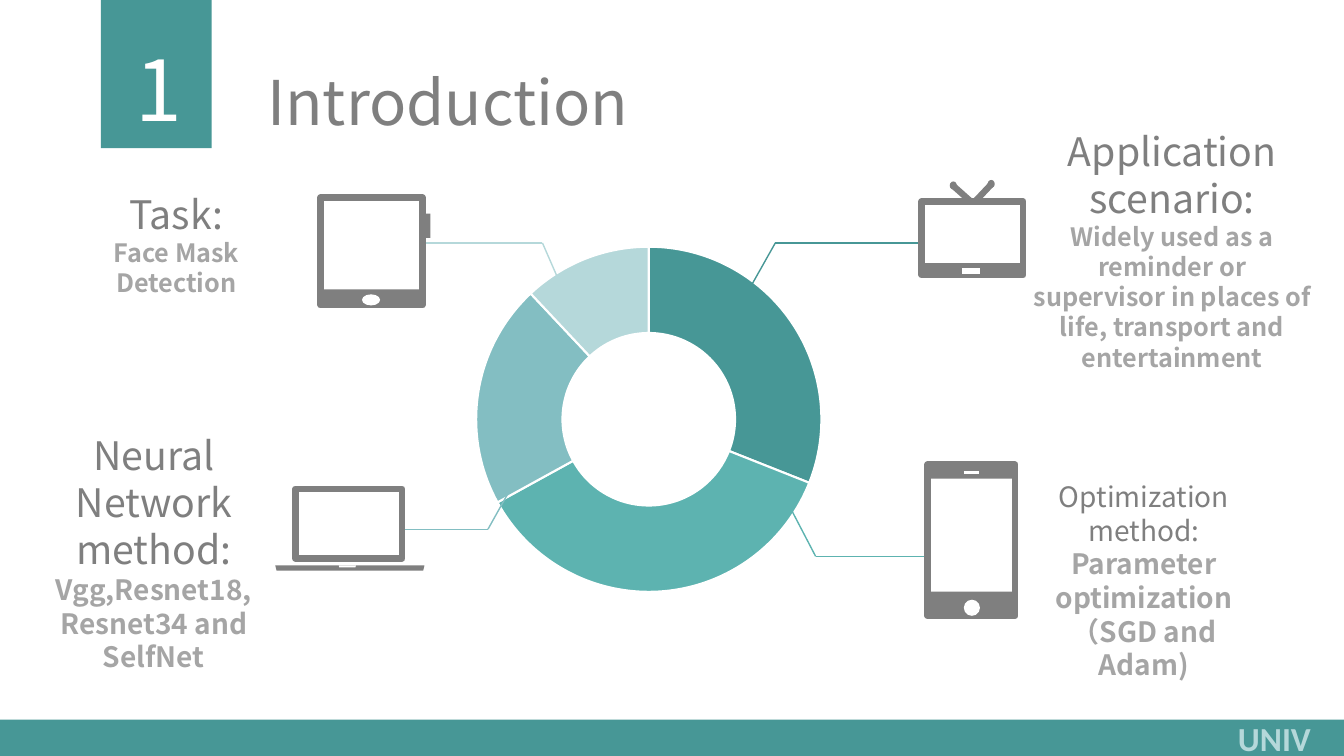
import pptx
import pptx.chart.data
import pptx.dml.color
import pptx.enum.chart
import pptx.enum.shapes
import pptx.enum.text
import pptx.util
from lxml import etree
from pptx.oxml.ns import qn

RGBColor = pptx.dml.color.RGBColor
Pt = pptx.util.Pt
MSO_SHAPE = pptx.enum.shapes.MSO_SHAPE
PP_ALIGN = pptx.enum.text.PP_ALIGN

TEAL = RGBColor(0x47, 0x97, 0x96)
AQUA = RGBColor(0x5D, 0xB3, 0xB0)
SKY = RGBColor(0x83, 0xBE, 0xC2)
PALE = RGBColor(0xB5, 0xD8, 0xDA)
GRAY = RGBColor(0x7F, 0x7F, 0x7F)
LIGHT_GRAY = RGBColor(0xA5, 0xA5, 0xA5)
WHITE = RGBColor(0xFF, 0xFF, 0xFF)
BLACK = RGBColor(0, 0, 0)

EMU_PER_PX = 9144  # 100 px to the inch
FONT = "Noto Sans CJK SC"
FRAME = 4.5


def px(*lengths):
    return [length * EMU_PER_PX for length in lengths]


def add_block(slide, box, fill=GRAY, outline=None, kind=MSO_SHAPE.RECTANGLE, rotation=0):
    block = slide.shapes.add_shape(kind, *px(*box))
    block.shadow.inherit = False
    block.rotation = rotation
    block.fill.solid()
    block.fill.fore_color.rgb = fill
    if outline:
        block.line.color.rgb = outline
        block.line.width = Pt(FRAME)
    else:
        block.line.fill.background()


def add_path(slide, points, color, width):
    """Join each point to the next with a straight line."""
    for start, end in zip(points, points[1:]):
        segment = slide.shapes.add_connector(
            pptx.enum.shapes.MSO_CONNECTOR.STRAIGHT, *px(*start, *end))
        segment.line.color.rgb = color
        segment.line.width = Pt(width)
        etree.SubElement(segment._element.spPr, qn("a:effectLst"))


def style(paragraph, size, color, bold=False, font=FONT, align=PP_ALIGN.CENTER):
    paragraph.alignment = align
    paragraph.font.name = font
    paragraph.font.size = Pt(size)
    paragraph.font.bold = bold
    paragraph.font.color.rgb = color


def add_text(slide, box, *lines, **options):
    """Write one paragraph for each (text, size, color, bold) line."""
    frame = slide.shapes.add_textbox(*px(*box)).text_frame
    frame.word_wrap = True
    for index, (text, *look) in enumerate(lines):
        paragraph = frame.add_paragraph() if index else frame.paragraphs[0]
        paragraph.text = text
        style(paragraph, *look, **options)


def add_caption(slide, box, heading, heading_size, details, detail_size):
    add_text(slide, box, (heading, heading_size, GRAY, False),
             *((detail, detail_size, LIGHT_GRAY, True) for detail in details))


def add_title(slide, box, text):
    title = slide.shapes.title
    title.left, title.top, title.width, title.height = px(*box)
    frame = title.text_frame
    frame.text = text
    frame.vertical_anchor = pptx.enum.text.MSO_ANCHOR.TOP
    frame.auto_size = pptx.enum.text.MSO_AUTO_SIZE.NONE
    style(frame.paragraphs[0], 44, GRAY, align=PP_ALIGN.LEFT)


def add_ring(slide, box):
    data = pptx.chart.data.CategoryChartData()
    data.categories = ["1", "2", "3", "4"]
    data.add_series("Series 1", (31, 36, 21, 12))
    chart = slide.shapes.add_chart(
        pptx.enum.chart.XL_CHART_TYPE.DOUGHNUT, *px(*box), data).chart
    chart.has_legend = False
    chart.has_title = False
    chart.font.name = "Arial"
    chart.font.size = Pt(10)
    chart.font.color.rgb = BLACK
    plot = chart.plots[0]
    plot.vary_by_categories = True
    plot._element.find(qn("c:holeSize")).set("val", "70")
    for index, color in enumerate((TEAL, AQUA, SKY, PALE)):
        slice_format = plot.series[0].points[index].format
        slice_format.fill.solid()
        slice_format.fill.fore_color.rgb = color
        slice_format.line.color.rgb = WHITE
        slice_format.line.width = Pt(1.5)


def add_television(slide):
    add_block(slide, (914, 200, 101, 73), WHITE, GRAY)
    add_block(slide, (914, 261, 101, 12))
    add_path(slide, [(954, 269), (972, 269)], WHITE, FRAME)
    add_path(slide, [(945, 184), (963, 200)], GRAY, FRAME)
    add_path(slide, [(984, 182), (967, 200)], GRAY, FRAME)
    add_block(slide, (942, 180, 7, 8), kind=MSO_SHAPE.OVAL)
    add_block(slide, (979, 179, 8, 7), kind=MSO_SHAPE.OVAL, rotation=97.7)


def add_phone(slide):
    add_block(slide, (920, 461, 87, 150), WHITE, GRAY)
    add_block(slide, (920, 587, 87, 24))
    add_block(slide, (956, 595, 16, 16), WHITE, kind=MSO_SHAPE.OVAL)
    add_block(slide, (920, 461, 87, 14))
    add_path(slide, [(956, 469), (971, 469)], WHITE, 2.25)


def add_laptop(slide):
    add_block(slide, (293, 485, 106, 69), WHITE, GRAY)
    add_block(slide, (273, 561, 148, 5), kind=MSO_SHAPE.TRAPEZOID, rotation=180)
    add_block(slide, (336, 561, 17, 2), WHITE, kind=MSO_SHAPE.TRAPEZOID, rotation=180)


def add_tablet(slide):
    add_block(slide, (318, 196, 101, 107), WHITE, GRAY)
    add_block(slide, (318, 287, 101, 17))
    add_block(slide, (359, 292, 18, 11), WHITE, kind=MSO_SHAPE.OVAL)
    add_block(slide, (419, 212, 8, 24))


def main():
    deck = pptx.Presentation()
    deck.slide_width, deck.slide_height = px(1333, 750)
    slide = deck.slides.add_slide(deck.slide_layouts.get_by_name("Title Only"))

    add_title(slide, (255, 58, 693, 84), "Introduction")
    add_block(slide, (100, 0, 110, 147), TEAL)
    add_text(slide, (103, 32, 110, 111), ("1", 60, WHITE), font="Noto Sans CJK KR")
    add_block(slide, (0, 714, 1333, 36), TEAL)
    add_text(slide, (1218, 707, 115, 50), ("UNIV", 24, PALE, True),
             font="Calibri", align=PP_ALIGN.LEFT)

    add_ring(slide, (352, 231, 583, 370))
    leaders = (
        (SKY, [(503, 491), (484, 525), (397, 525)]),
        (PALE, [(562, 296), (538, 241), (423, 241)]),
        (TEAL, [(738, 296), (769, 241), (915, 241)]),
        (AQUA, [(785, 506), (809, 552), (920, 552)]),
    )
    for color, points in leaders:
        add_path(slide, points, color, 1)

    add_television(slide)
    add_phone(slide)
    add_laptop(slide)
    add_tablet(slide)

    add_caption(slide, (1014, 121, 297, 256), "Application scenario:", 28,
                ["Widely used as a reminder or supervisor in places of life, "
                 "transport and entertainment"], 18)
    add_caption(slide, (1012, 471, 245, 212), "Optimization method:", 20,
                ["Parameter optimization", "（SGD and Adam)"], 20)
    add_caption(slide, (80, 184, 190, 118), "Task:", 28, ["Face Mask Detection"], 18)
    add_caption(slide, (20, 423, 265, 252), "Neural Network method:", 28,
                ["Vgg,Resnet18, Resnet34 and SelfNet"], 20)

    deck.save("out.pptx")


if __name__ == "__main__":
    main()
